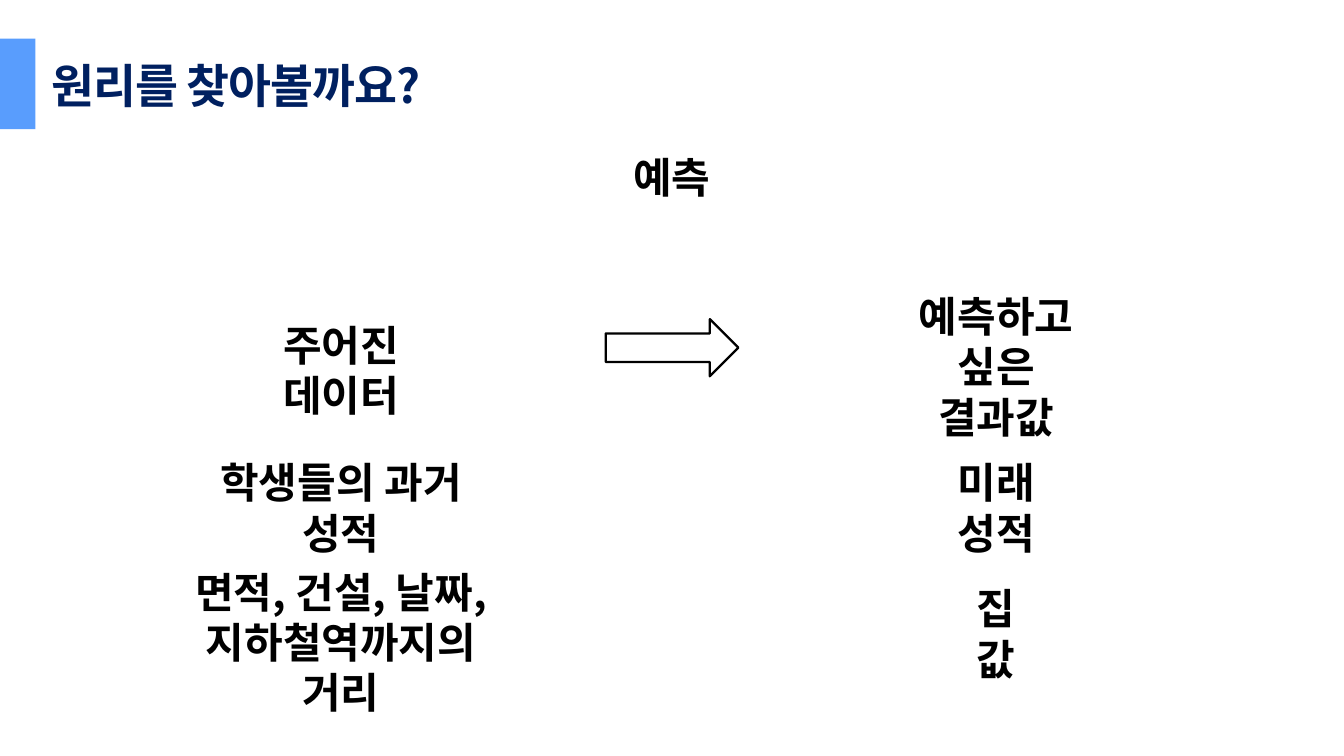
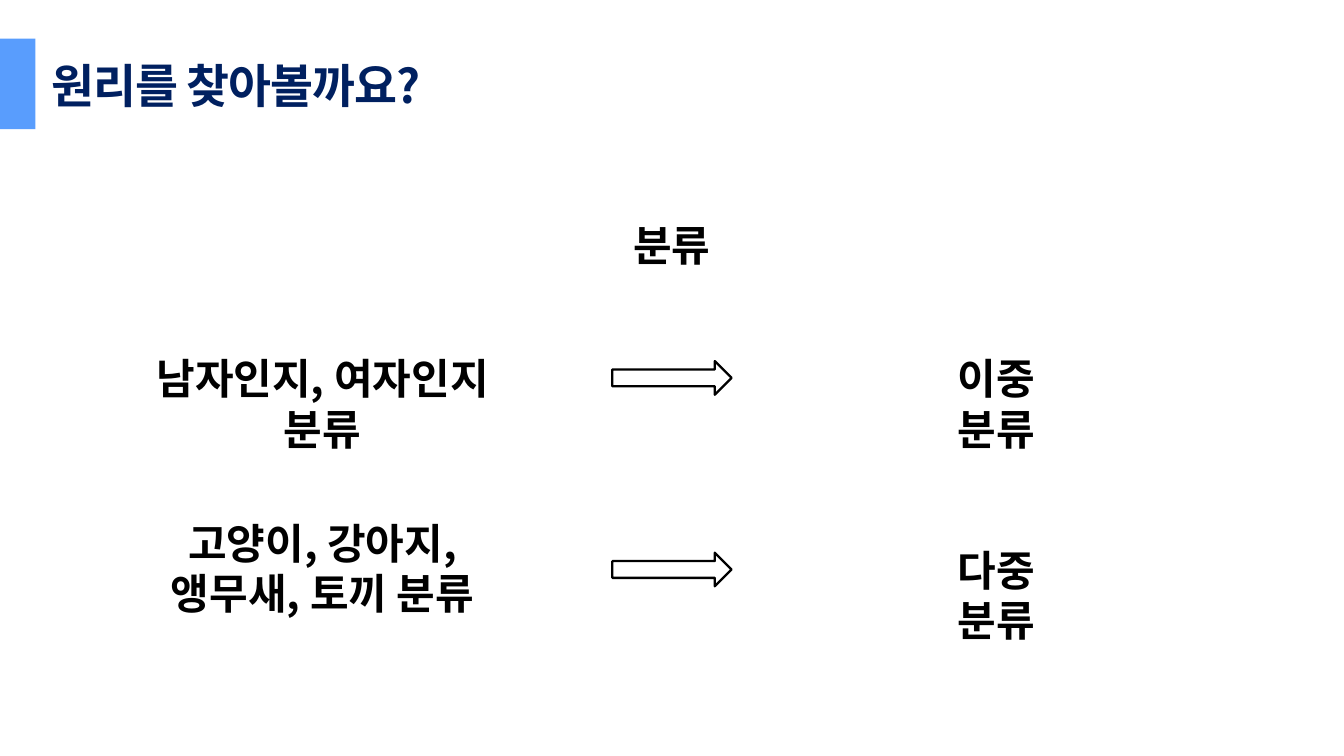
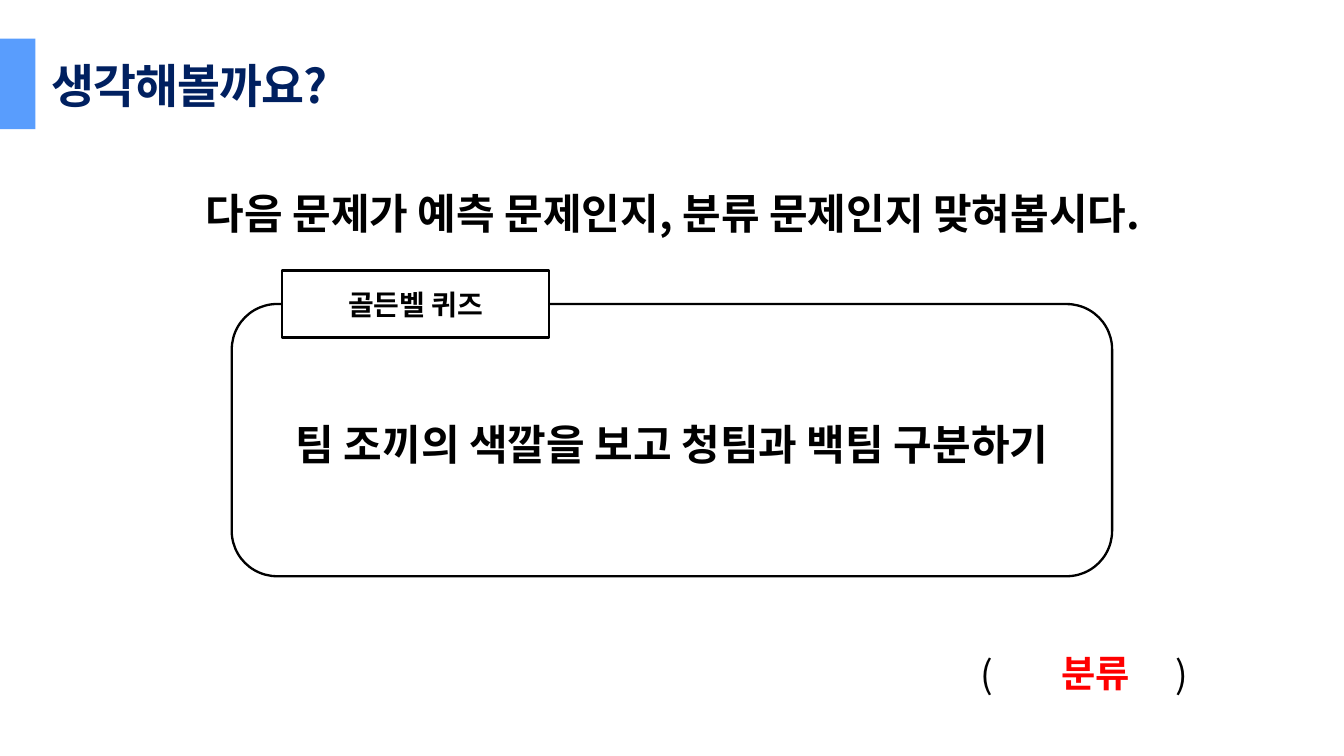
from pptx import Presentation
from pptx.dml.color import RGBColor
from pptx.enum.shapes import MSO_SHAPE
from pptx.enum.text import MSO_ANCHOR, MSO_AUTO_SIZE, PP_ALIGN
from pptx.oxml.ns import qn
from pptx.util import Inches, Pt
from lxml import etree

COLORS = {
    "title": "002060",
    "band": "599DFD",
    "ink": "000000",
    "answer": "FF0000",
    "paper": "FFFFFF",
}
NOTO = "Noto Sans CJK KR"
CALIBRI = "Calibri"
PHRASE_INSET = 0.14


def color(name):
    return RGBColor.from_string(COLORS[name])


def style_paragraph(paragraph, size, font, tint, bold, align):
    paragraph.alignment = align
    for span in paragraph.runs:
        span.font.size = Pt(size)
        span.font.name = font
        span.font.bold = bold
        span.font.color.rgb = color(tint)
        east_asian = etree.SubElement(span.font._element, qn("a:ea"))
        east_asian.set("typeface", NOTO)


def add_text(page, box, text, size=18, font=NOTO, tint="ink", bold=True,
             align=PP_ALIGN.CENTER, wrap=True, inset=0.1):
    shape = page.shapes.add_textbox(*map(Inches, box))
    frame = shape.text_frame
    frame.text = text
    frame.word_wrap = wrap
    frame.auto_size = MSO_AUTO_SIZE.SHAPE_TO_FIT_TEXT
    frame.margin_left = frame.margin_right = Inches(inset)
    for paragraph in frame.paragraphs:
        style_paragraph(paragraph, size, font, tint, bold, align)
    return shape


def add_outline(page, preset, box, fill=None, line="ink"):
    shape = page.shapes.add_shape(preset, *map(Inches, box))
    shape.shadow.inherit = False
    if fill:
        shape.fill.solid()
        shape.fill.fore_color.rgb = color(fill)
    else:
        shape.fill.background()
    if line:
        shape.line.color.rgb = color(line)
        shape.line.width = Pt(1)
    else:
        shape.line.fill.background()
    return shape


def add_page(deck, title):
    page = deck.slides.add_slide(deck.slide_layouts[6])
    heading = add_text(page, (0.21, 0.29, 4.54, 0.44), title, size=20,
                       tint="title", align=PP_ALIGN.LEFT)
    for span in heading.text_frame.paragraphs[0].runs:
        span.font._element.set("spc", "-50")
    add_outline(page, MSO_SHAPE.RECTANGLE, (-0.23, 0.23, 0.44, 0.54),
                fill="band", line=None)
    return page


def add_phrases(page, center, phrases):
    for text, top, width, font, inset in phrases:
        height = 0.4 + 0.31 * text.count("\n")
        box = (center - width / 2, top, width, height)
        add_text(page, box, text, font=font, inset=inset)


def add_topic(page, top, text):
    add_text(page, (3.67, top, 0.66, 0.4), text, wrap=False)


def add_arrow(page, middle, width, height):
    box = (4 - width / 2, middle - height / 2, width, height)
    add_outline(page, MSO_SHAPE.RIGHT_ARROW, box)


def build_prediction(deck):
    page = add_page(deck, "원리를 찾아볼까요?")
    add_topic(page, 0.85, "예측")
    add_arrow(page, 2.07, 0.79, 0.34)
    add_phrases(page, 2.03, [
        ("주어진 데이터", 1.85, 1.64, CALIBRI, PHRASE_INSET),
        ("학생들의 과거 성적", 2.67, 2.17, NOTO, PHRASE_INSET),
        ("면적, 건설, 날짜,\n지하철역까지의 거리", 3.32, 2.33, NOTO, PHRASE_INSET),
    ])
    add_phrases(page, 5.93, [
        ("예측하고 싶은\n결과값", 1.68, 1.64, CALIBRI, PHRASE_INSET),
        ("미래 성적", 2.67, 1.18, NOTO, PHRASE_INSET),
        ("집 값", 3.42, 0.72, NOTO, PHRASE_INSET),
    ])


def build_classification(deck):
    page = add_page(deck, "원리를 찾아볼까요?")
    add_topic(page, 1.26, "분류")
    add_phrases(page, 1.92, [
        ("남자인지, 여자인지 분류", 2.05, 2.68, NOTO, PHRASE_INSET),
        ("고양이, 강아지,\n앵무새, 토끼 분류", 3.03, 1.99, NOTO, 0.08),
    ])
    add_phrases(page, 5.93, [
        ("이중 분류", 2.05, 1.18, NOTO, PHRASE_INSET),
        ("다중 분류", 3.19, 1.18, NOTO, PHRASE_INSET),
    ])
    for middle in (2.25, 3.39):
        add_arrow(page, middle, 0.71, 0.2)


def add_quiz_card(page, box, label, question):
    left, top, width, height = box
    add_outline(page, MSO_SHAPE.ROUNDED_RECTANGLE, box)
    tag = add_outline(page, MSO_SHAPE.RECTANGLE,
                      (left + 0.3, top - 0.2, 1.59, 0.4), fill="paper")
    tag.text_frame.text = label
    tag.text_frame.vertical_anchor = MSO_ANCHOR.MIDDLE
    style_paragraph(tag.text_frame.paragraphs[0], 12, CALIBRI, "ink", True,
                    PP_ALIGN.CENTER)
    add_text(page, (left - 0.03, top + 0.63, width + 0.06, 0.4), question,
             font=CALIBRI)


def add_answer(page, left, top, text):
    brackets = add_text(page, (left, top, 1.6, 0.37), "(\t)", size=16,
                        bold=False, align=PP_ALIGN.LEFT)
    properties = brackets.text_frame.paragraphs[0]._p.get_or_add_pPr()
    tabs = etree.SubElement(properties, qn("a:tabLst"))
    etree.SubElement(tabs, qn("a:tab"), pos=str(Inches(1.16)), algn="l")
    add_text(page, (left + 0.48, top - 0.01, 0.61, 0.37), text, size=16,
             tint="answer", align=PP_ALIGN.LEFT, wrap=False)


def build_quiz(deck):
    page = add_page(deck, "생각해볼까요?")
    add_text(page, (0.85, 1.07, 6.31, 0.4),
             "다음 문제가 예측 문제인지, 분류 문제인지 맞혀봅시다.")
    add_quiz_card(page, (1.38, 1.81, 5.24, 1.62), "골든벨 퀴즈",
                  "팀 조끼의 색깔을 보고 청팀과 백팀 구분하기")
    add_answer(page, 5.74, 3.83, "분류")


def main():
    deck = Presentation()
    deck.slide_width = Inches(8)
    deck.slide_height = Inches(4.5)
    build_prediction(deck)
    build_classification(deck)
    build_quiz(deck)
    deck.save("out.pptx")


if __name__ == "__main__":
    main()
